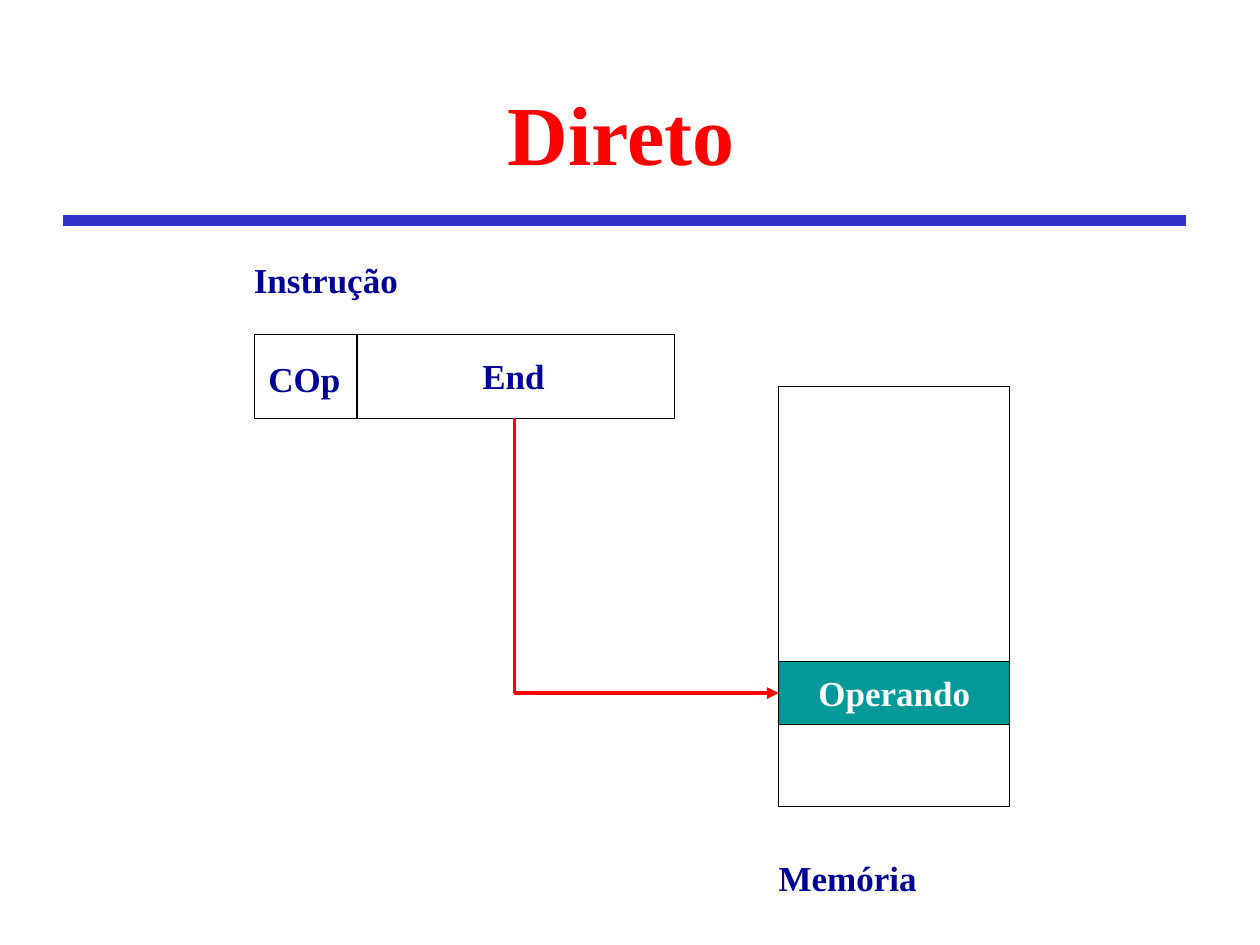
import pptx
import pptx.util
import pptx.dml.color
import pptx.enum.shapes
import pptx.enum.text
import pptx.oxml.ns
import lxml.etree

Pt = pptx.util.Pt
Align = pptx.enum.text.PP_ALIGN
Anchor = pptx.enum.text.MSO_ANCHOR
Shape = pptx.enum.shapes.MSO_SHAPE
Link = pptx.enum.shapes.MSO_CONNECTOR
qn = pptx.oxml.ns.qn

FONT = "Times New Roman"
RED, BLUE, NAVY = "FF0000", "3333CC", "000099"
TEAL, BLACK, WHITE = "009999", "000000", "FFFFFF"


def color(code):
    return pptx.dml.color.RGBColor.from_string(code)


def write(frame, text, size, code, align, anchor, wrap=False):
    frame.word_wrap = wrap
    frame.auto_size = pptx.enum.text.MSO_AUTO_SIZE.NONE
    frame.vertical_anchor = anchor
    frame.margin_left = frame.margin_right = Pt(7.2)
    frame.margin_top = frame.margin_bottom = Pt(3.6)
    para = frame.paragraphs[0]
    para.alignment = align
    run = para.add_run()
    run.text = text
    run.font.name = FONT
    run.font.size = Pt(size)
    run.font.bold = True
    run.font.color.rgb = color(code)


def label(slide, box, text, align=Align.LEFT):
    area = slide.shapes.add_textbox(*map(Pt, box))
    write(area.text_frame, text, 20, NAVY, align, Anchor.TOP)


def block(slide, box, fill=WHITE):
    rect = slide.shapes.add_shape(Shape.RECTANGLE, *map(Pt, box))
    rect.shadow.inherit = False
    rect.fill.solid()
    rect.fill.fore_color.rgb = color(fill)
    rect.line.color.rgb = color(BLACK)
    rect.line.width = Pt(0.75)
    return rect


def line(slide, start, end, code, width, arrow=False):
    link = slide.shapes.add_connector(Link.STRAIGHT, *map(Pt, start + end))
    link.line.color.rgb = color(code)
    link.line.width = Pt(width)
    if arrow:
        tail = lxml.etree.SubElement(link.line._get_or_add_ln(), qn("a:tailEnd"))
        tail.set("type", "triangle")
    lxml.etree.SubElement(link._element.spPr, qn("a:effectLst"))
    return link


def header(slide, box):
    left, top, width, height = box
    title = slide.shapes.title
    title.left, title.top, title.width, title.height = map(Pt, box)
    write(title.text_frame, "Direto", 48, RED, Align.CENTER, Anchor.BOTTOM, True)
    base = top + height + 18
    line(slide, (left + 4, base), (left + width, base), BLUE, 6)


def order(slide, box):
    left, top, width, height = box
    split = left + 58.5
    block(slide, box)
    line(slide, (split, top), (split, top + height), BLACK, 0.75)
    label(slide, (left - 7.5, top - 47, 96.5, 32), "Instrução")
    label(slide, (left + 0.5, top + 9.5, 56, 32), "COp", Align.CENTER)
    label(slide, (left + 123, top + 8, 50, 32), "End", Align.CENTER)
    return left + 148.5, top + height


def memory(slide, box):
    left, top, width, height = box
    block(slide, box)
    label(slide, (left - 7.2, top + height + 25, 93, 32), "Memória")
    cell = block(slide, (left, top + 157, width, 36), TEAL)
    write(cell.text_frame, "Operando", 20, WHITE, Align.CENTER, Anchor.MIDDLE)
    return cell


def route(slide, start, cell):
    turn = start[0], (cell.top + cell.height / 2) / Pt(1)
    line(slide, turn, start, RED, 2.25)
    arrow = line(slide, turn, (cell.left / Pt(1), turn[1]), RED, 2.25, True)
    arrow.end_connect(cell, 1)


def main():
    deck = pptx.Presentation()
    deck.slide_width, deck.slide_height = Pt(720), Pt(540)
    slide = deck.slides.add_slide(deck.slide_layouts[5])
    header(slide, (32, 18, 646, 90))
    start = order(slide, (145.5, 191, 240, 48))
    cell = memory(slide, (445, 221, 132, 240))
    route(slide, start, cell)
    deck.save("out.pptx")


if __name__ == "__main__":
    main()
